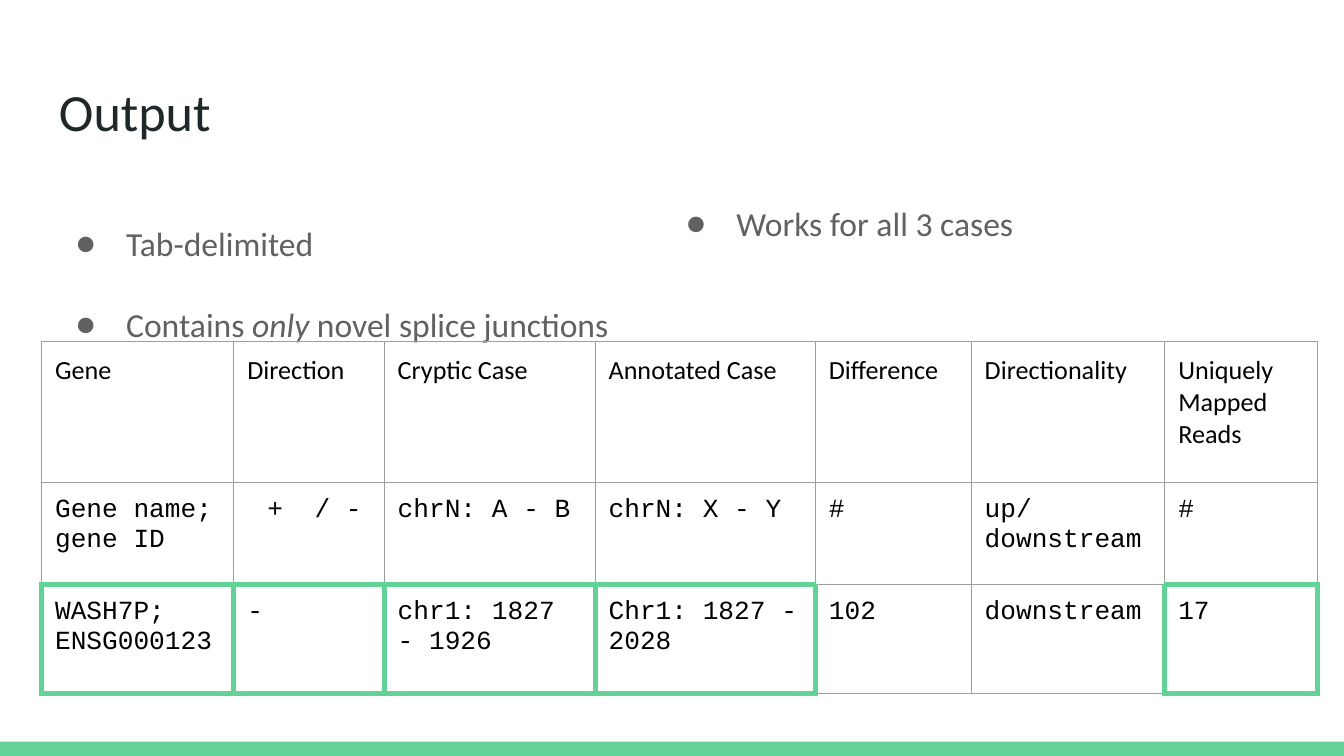
from lxml import etree
from pptx import Presentation
from pptx.dml.color import RGBColor
from pptx.enum.shapes import MSO_SHAPE
from pptx.oxml.ns import qn
from pptx.util import Pt

RECTANGLE = MSO_SHAPE.RECTANGLE
COLORS = {"accent": "63D297", "title": "202729", "body": "616161",
          "grid": "9E9E9E", "table": "000000"}
INSET = 7.2
MARGINS = ("margin_left", "margin_top", "margin_right", "margin_bottom")
TITLE = {"name": "Calibri", "size": Pt(28), "color": "title"}
BODY = {"name": "Calibri", "size": Pt(18), "color": "body"}
HEADER = {"name": "Calibri", "size": Pt(14), "color": "table"}
CODE = {**HEADER, "name": "Courier New"}
COLUMN_WIDTHS = [103, 80.6, 113, 118, 83.5, 103.7, 82]
ROW_HEIGHTS = [75.6, 54.7, 58.3]
ROWS = [
    ["Gene", "Direction", "Cryptic Case", "Annotated Case", "Difference",
     "Directionality", "Uniquely Mapped Reads"],
    ["Gene name; gene ID", "/ -", "chrN: A - B", "chrN: X - Y", "#",
     "up/downstream", "#"],
    ["WASH7P; ENSG000123", "-", "chr1: 1827 - 1926", "Chr1: 1827 - 2028",
     "102", "downstream", "17"],
]
PLUS_CELL = (1, 1)
HIGHLIGHTED = {(2, column) for column in (0, 1, 2, 3, 6)}
EDGES = {"a:lnL": (0, -1), "a:lnR": (0, 1), "a:lnT": (-1, 0), "a:lnB": (1, 0)}


def set_margins(target):
    """Give a text frame or table cell the common inset."""
    for margin in MARGINS:
        setattr(target, margin, Pt(INSET))


def add_run(paragraph, text, style, italic=False):
    """Add a run of text in the given style."""
    run = paragraph.add_run()
    run.text = text
    for name, value in {**style, "italic": italic}.items():
        if name == "color":
            run.font.color.rgb = RGBColor.from_string(COLORS[value])
        else:
            setattr(run.font, name, value)


def add_bullet(paragraph, character, style, hanging):
    """Give a paragraph a hanging bullet character."""
    properties = paragraph._p.get_or_add_pPr()
    properties.set("marL", str(Pt(36)))
    properties.set("indent", str(-Pt(hanging)))
    color = etree.SubElement(properties, qn("a:buClr"))
    etree.SubElement(color, qn("a:srgbClr"), val=COLORS[style["color"]])
    etree.SubElement(properties, qn("a:buFont"), typeface=style["name"])
    etree.SubElement(properties, qn("a:buChar"), char=character)


def add_text_frame(slide, left, top, width, height):
    """Add a wrapping text box and return its frame."""
    frame = slide.shapes.add_textbox(Pt(left), Pt(top), Pt(width), Pt(height)).text_frame
    frame.word_wrap = True
    set_margins(frame)
    return frame


def add_title(slide, text, left, top, width, height):
    """Place the slide title."""
    frame = add_text_frame(slide, left, top, width, height)
    add_run(frame.paragraphs[0], text, TITLE)


def add_bullet_list(slide, items, left, top, width, height):
    """Place double-spaced bullets, each a list of (text, italic) parts."""
    frame = add_text_frame(slide, left, top, width, height)
    for index, parts in enumerate(items):
        paragraph = frame.add_paragraph() if index else frame.paragraphs[0]
        paragraph.line_spacing = 2.0
        paragraph.space_after = Pt(16 if index == len(items) - 1 else 0)
        add_bullet(paragraph, "●", BODY, 27)
        for text, italic in parts:
            add_run(paragraph, text, BODY, italic)


def add_borders(cell, position):
    """Draw cell edges, thick and green beside any highlighted cell."""
    row, column = position
    properties = cell._tc.get_or_add_tcPr()
    for tag, (down, across) in EDGES.items():
        strong = bool({position, (row + down, column + across)} & HIGHLIGHTED)
        line = etree.SubElement(properties, qn(tag), w=str(Pt(3 if strong else 0.75)))
        fill = etree.SubElement(line, qn("a:solidFill"))
        color = COLORS["accent" if strong else "grid"]
        etree.SubElement(fill, qn("a:srgbClr"), val=color)


def add_output_table(slide, left, top):
    """Place the table of output columns with its sample row."""
    shape = slide.shapes.add_table(len(ROWS), len(COLUMN_WIDTHS), Pt(left), Pt(top),
                                   Pt(sum(COLUMN_WIDTHS)), Pt(sum(ROW_HEIGHTS)))
    table = shape.table
    table.first_row = table.horz_banding = False
    for column, width in zip(table.columns, COLUMN_WIDTHS):
        column.width = Pt(width)
    for row, height in zip(table.rows, ROW_HEIGHTS):
        row.height = Pt(height)
    for row, texts in enumerate(ROWS):
        for column, text in enumerate(texts):
            cell = table.cell(row, column)
            set_margins(cell)
            add_borders(cell, (row, column))
            cell.fill.background()
            paragraph = cell.text_frame.paragraphs[0]
            if (row, column) == PLUS_CELL:
                add_bullet(paragraph, "+", CODE, 25.2)
            add_run(paragraph, text, CODE if row else HEADER)


def add_footer_bar(slide, left, top, width, height):
    """Place the coloured bar along the bottom edge."""
    bar = slide.shapes.add_shape(RECTANGLE, Pt(left), Pt(top), Pt(width), Pt(height))
    bar.shadow.inherit = False
    bar.fill.solid()
    bar.fill.fore_color.rgb = RGBColor.from_string(COLORS["accent"])
    bar.line.fill.background()


def main():
    """Build and save the presentation."""
    presentation = Presentation()
    presentation.slide_width, presentation.slide_height = Pt(720), Pt(405)
    slide = presentation.slides.add_slide(presentation.slide_layouts[6])
    add_footer_bar(slide, 0, 397.4, 720, 7.6)
    add_title(slide, "Output", 24.5, 35.3, 671, 45.4)
    add_bullet_list(slide, [
        [("Tab-delimited", False)],
        [("Contains ", False), ("only", True), (" novel splice junctions", False)],
    ], 24.5, 90.7, 344.2, 92.2)
    add_output_table(slide, 22.3, 182.9)
    add_bullet_list(slide, [[("Works for all 3 cases", False)]], 351.4, 79.9, 344.2, 51)
    presentation.save("out.pptx")


if __name__ == "__main__":
    main()
